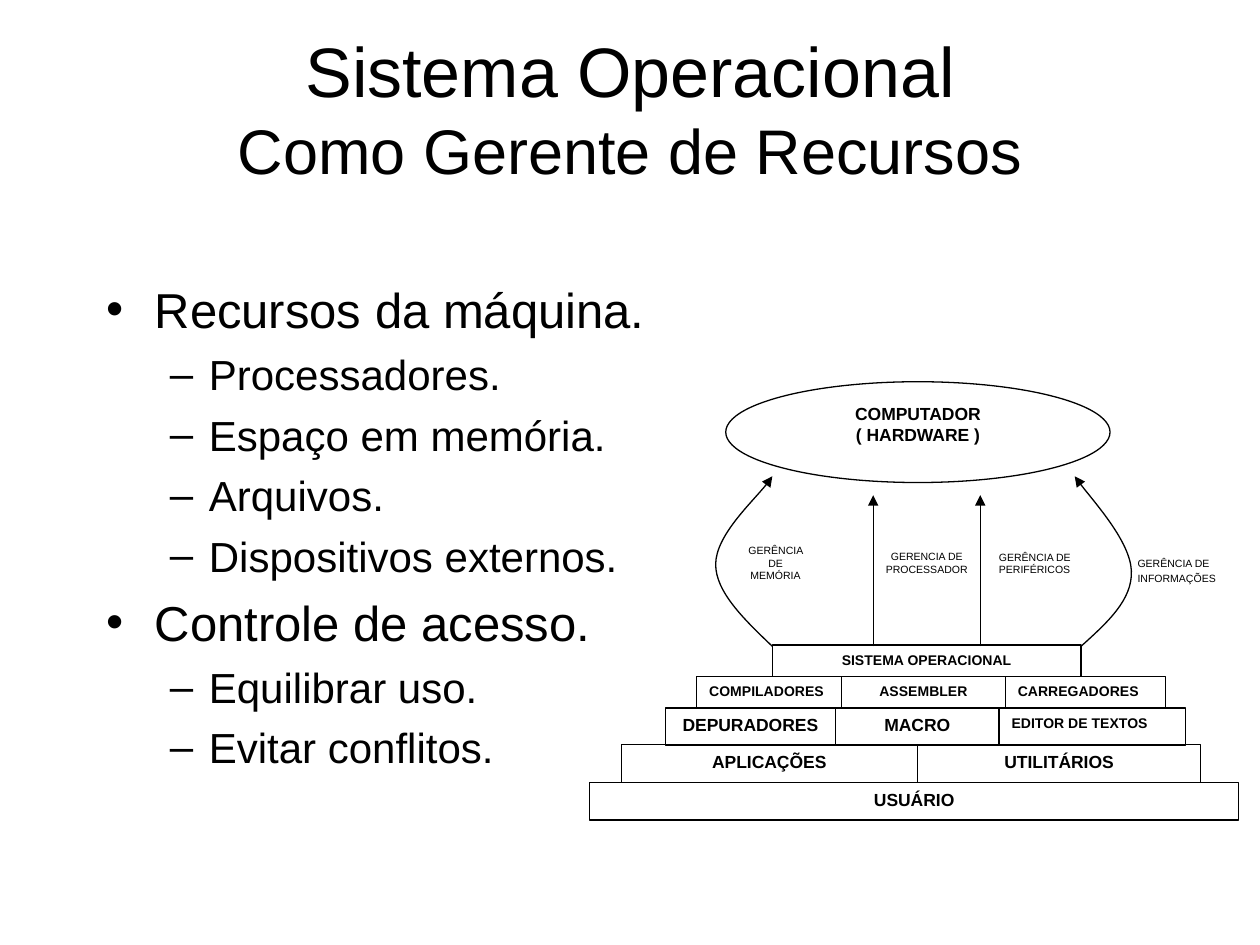
from lxml import etree
from pptx import Presentation, util as u
from pptx.dml.color import RGBColor
from pptx.enum import shapes, text
from pptx.oxml.ns import qn

PX = 9144  # 100 px to the inch
BLACK = RGBColor(0, 0, 0)
FONT = "Arial"
LEFT, CENTER = text.PP_ALIGN.LEFT, text.PP_ALIGN.CENTER

TITLE = [("Sistema Operacional", 40), ("Como Gerente de Recursos", 36)]
TOPICS = [
    ("Recursos da máquina.",
     ["Processadores.", "Espaço em memória.", "Arquivos.", "Dispositivos externos."]),
    ("Controle de acesso.", ["Equilibrar uso.", "Evitar conflitos."]),
]
# size, space before, text indent, hanging indent, bullet
TOPIC_STYLE = (28, 6.7, 38, 38, "•")
DETAIL_STYLE = (24, 5.8, 81, 31, "–")

# left, top, height, then (label, width, size, alignment) for each box
LAYERS = [
    (468, 621, 30, [("USUÁRIO", 515, 10, CENTER)]),
    (493, 591, 30, [("APLICAÇÕES", 235, 10, CENTER), ("UTILITÁRIOS", 225, 10, CENTER)]),
    (528, 562, 30, [("DEPURADORES", 135, 10, CENTER), ("MACRO", 130, 10, CENTER),
                    ("EDITOR DE TEXTOS", 148, 8, LEFT)]),
    (553, 537, 25, [("COMPILADORES", 115, 8, LEFT), ("ASSEMBLER", 130, 8, CENTER),
                    ("CARREGADORES", 127, 8, LEFT)]),
    (613, 512, 25, [("SISTEMA OPERACIONAL", 245, 8, CENTER)]),
]
HARDWARE = ["COMPUTADOR", "( HARDWARE )"]
# runs, box, alignment
ROLES = [
    ([("GERÊNCIA DE MEMÓRIA", 6)], (583, 427, 65, 40), CENTER),
    ([("GERENCIA DE PROCESSADOR", 6)], (688, 432, 95, 40), CENTER),
    ([("GERÊNCIA DE PERIFÉRICOS", 6)], (783, 432, 85, 35), LEFT),
    ([("GERÊNCIA DE", 6), (" ", 10), ("INFORMAÇÕES", 6)], (893, 432, 95, 40), LEFT),
]
ARROW_XS, ARROW_BOTTOM, ARROW_TOP = (693, 778), 513, 393
# start, then three points for each Bézier segment
CURVES = [
    [(613, 513), (591, 492), (568, 470), (568, 448), (568, 425), (606, 390), (613, 378)],
    [(858, 513), (879, 494), (899, 476), (898, 453), (897, 430), (861, 390), (853, 378)],
]


def px(*lengths):
    return [length * PX for length in lengths]


def add_run(paragraph, words, *, size, bold=False):
    run = paragraph.add_run()
    run.text = words
    font = run.font
    font.name, font.size, font.bold = FONT, u.Pt(size), bold
    font.color.rgb = BLACK


def write(frame, paragraphs, *, align=LEFT, bold=False):
    """Fill a frame with paragraphs, each a list of (words, size) runs."""
    frame.word_wrap = True
    frame.vertical_anchor = text.MSO_ANCHOR.TOP
    for index, runs in enumerate(paragraphs):
        paragraph = frame.add_paragraph() if index else frame.paragraphs[0]
        paragraph.alignment = align
        for words, size in runs:
            add_run(paragraph, words, size=size, bold=bold)


def outline(shape):
    shape.shadow.inherit = False
    shape.fill.background()
    shape.line.color.rgb = BLACK
    shape.line.width = u.Pt(0.75)


def add_arrowhead(line):
    etree.SubElement(line.line._get_or_add_ln(), qn("a:tailEnd"), type="triangle")


def add_box(slide, kind, box, paragraphs, align=CENTER):
    shape = slide.shapes.add_shape(kind, *px(*box))
    outline(shape)
    write(shape.text_frame, paragraphs, align=align, bold=True)


def add_title(slide):
    title = slide.shapes.title
    title.left, title.top, title.width, title.height = px(75, 0, 850, 170)
    frame = title.text_frame
    frame.auto_size = text.MSO_AUTO_SIZE.NONE
    frame.vertical_anchor = text.MSO_ANCHOR.MIDDLE
    paragraph = frame.paragraphs[0]
    paragraph.alignment = CENTER
    for index, (words, size) in enumerate(TITLE):
        if index:
            paragraph.add_line_break()
        add_run(paragraph, words, size=size)


def add_topics(slide):
    items = []
    for topic, details in TOPICS:
        items.append((topic, 0, TOPIC_STYLE))
        items += [(detail, 1, DETAIL_STYLE) for detail in details]
    frame = slide.shapes.add_textbox(*px(75, 217, 866, 450)).text_frame
    write(frame, [[(words, style[0])] for words, _, style in items])
    for paragraph, (_, level, style) in zip(frame.paragraphs, items):
        _, space, indent, hanging, bullet = style
        paragraph.level = level
        paragraph.space_before = u.Pt(space)
        properties = paragraph._p.get_or_add_pPr()
        properties.set("marL", str(indent * PX))
        properties.set("indent", str(-hanging * PX))
        etree.SubElement(properties, qn("a:buFont"), typeface=FONT)
        etree.SubElement(properties, qn("a:buChar"), char=bullet)


def add_curve(slide, points):
    """Draw the points as a polyline, then turn each three lines into one Bézier."""
    builder = slide.shapes.build_freeform(*points[0], scale=PX)
    builder.add_line_segments(points[1:], close=False)
    shape = builder.convert_to_shape()
    outline(shape)
    add_arrowhead(shape)
    lines = list(shape._element.iter(qn("a:lnTo")))
    outline_path = lines[0].getparent()
    for start in range(0, len(lines), 3):
        curve = etree.SubElement(outline_path, qn("a:cubicBezTo"))
        for line in lines[start:start + 3]:
            curve.append(line[0])
            outline_path.remove(line)


def add_arrow(slide, x):
    arrow = slide.shapes.add_connector(
        shapes.MSO_CONNECTOR.STRAIGHT, *px(x, ARROW_BOTTOM, x, ARROW_TOP))
    arrow.line.color.rgb = BLACK
    arrow.line.width = u.Pt(0.75)
    add_arrowhead(arrow)
    etree.SubElement(arrow._element.spPr, qn("a:effectLst"))


def main():
    presentation = Presentation()
    presentation.slide_width, presentation.slide_height = px(1000, 750)
    slide = presentation.slides.add_slide(presentation.slide_layouts[5])
    add_title(slide)
    add_topics(slide)
    for left, top, height, boxes in LAYERS:
        for label, width, size, align in boxes:
            add_box(slide, shapes.MSO_SHAPE.RECTANGLE, (left, top, width, height),
                    [[(label, size)]], align)
            left += width
    add_box(slide, shapes.MSO_SHAPE.OVAL, (576, 303, 305, 80),
            [[(line, 10)] for line in HARDWARE])
    for points in CURVES:
        add_curve(slide, points)
    for x in ARROW_XS:
        add_arrow(slide, x)
    for runs, box, align in ROLES:
        write(slide.shapes.add_textbox(*px(*box)).text_frame, [runs], align=align)
    presentation.save("out.pptx")


if __name__ == "__main__":
    main()
